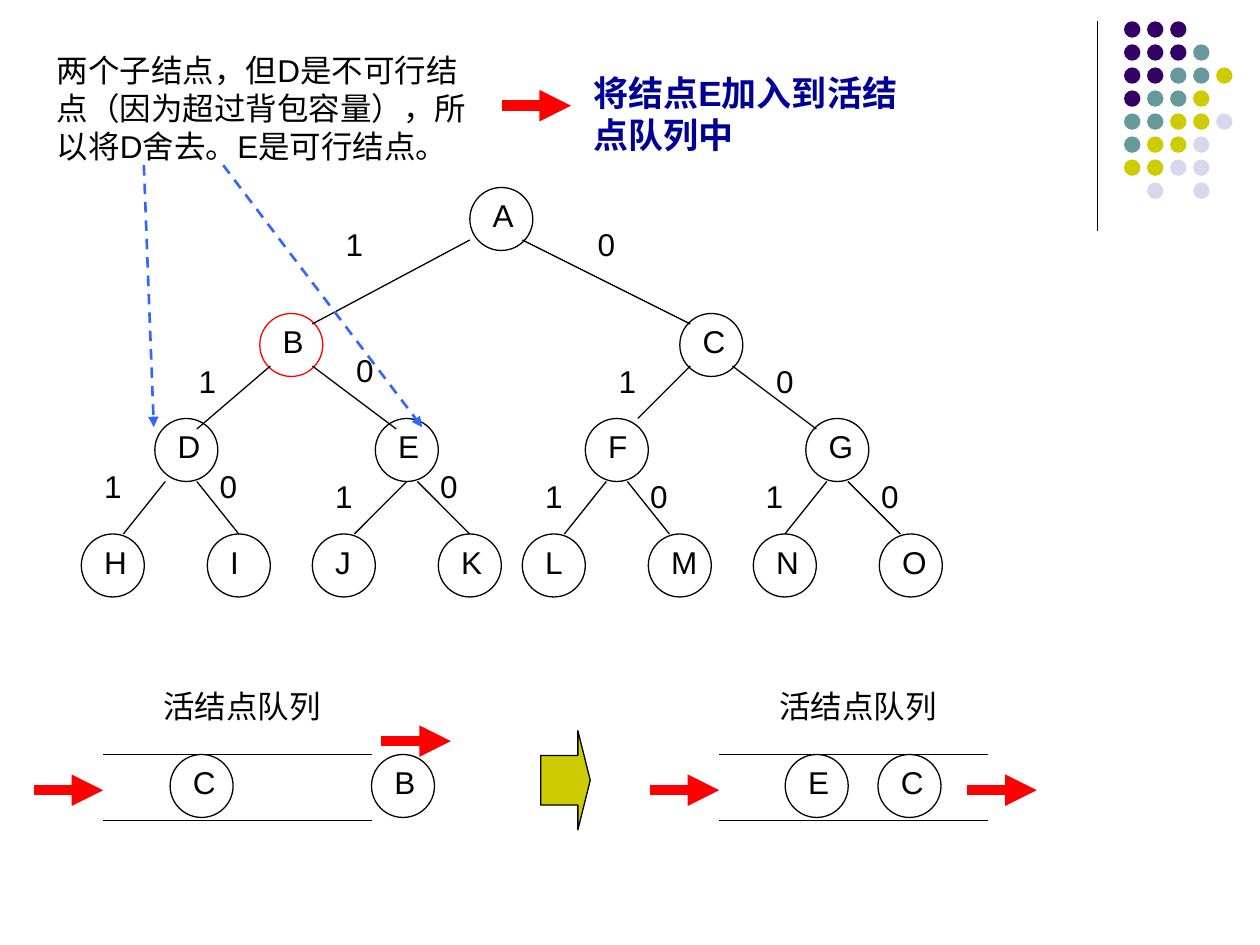
from dataclasses import dataclass

import lxml.etree
import pptx
import pptx.dml.color
import pptx.enum.dml
import pptx.enum.shapes
import pptx.enum.text
import pptx.oxml.ns
import pptx.util

Cm = pptx.util.Cm
Pt = pptx.util.Pt
SHAPES = pptx.enum.shapes.MSO_SHAPE
ALIGN = pptx.enum.text.PP_ALIGN
DASH = pptx.enum.dml.MSO_LINE.DASH


@dataclass(frozen=True)
class Theme:
    font: str = "Arial"
    body_size: int = 18
    result_size: int = 20
    ink: str = "000000"
    red: str = "FF0000"
    pointer: str = "3366FF"
    result: str = "000099"
    olive: str = "CCCC00"
    purple: str = "330066"
    teal: str = "669999"
    lilac: str = "D8D8EC"
    thin: float = 0.75
    dashed: float = 1.5
    thick: float = 6


THEME = Theme()

# The tree lies on a grid of twelfths of an inch; sizes are in centimetres
STEP = 2.54 / 12
TREE_LEFT, TREE_TOP = 1.64, 3.78
NODE_SIZE = 1.27
LABEL_SIZE = (1.06, 1.02)

# Grid row: the letter and grid column of each node
TREE_ROWS = {
    0: {"A": 37},
    12: {"B": 17, "C": 57},
    22: {"D": 7, "E": 28, "F": 48, "G": 69},
    33: {"H": 0, "I": 12, "J": 22, "K": 34, "L": 42, "M": 54, "N": 64, "O": 76},
}

# Branch start, branch end, digit and digit position, on the grid
BRANCHES = [
    ((37, 5), (22, 13), "1", (24, 3)),
    ((42, 5), (58, 13), "0", (48, 3)),
    ((18, 17), (11, 23), "1", (10, 16)),
    ((22, 17), (30, 23), "0", (25, 15)),
    ((58, 17), (53, 22), "1", (50, 16)),
    ((62, 17), (70, 23), "0", (65, 16)),
    ((8, 28), (4, 33), "1", (1, 26)),
    ((11, 28), (15, 33), "0", (12, 26)),
    ((31, 28), (26, 33), "1", (23, 27)),
    ((32, 28), (37, 33), "0", (33, 26)),
    ((50, 28), (46, 33), "1", (43, 27)),
    ((52, 28), (56, 33), "0", (53, 27)),
    ((71, 28), (67, 33), "1", (64, 27)),
    ((73, 28), (78, 33), "0", (75, 27)),
]

DOT_ROWS = ["PPP", "PPPT", "PPTTO", "PTTO", "TTOOL", "TOOL", "OOLL", " L L"]
DOT_COLORS = {"P": THEME.purple, "T": THEME.teal, "O": THEME.olive, "L": THEME.lilac}
DOT_SIZE = 0.33
DOT_PITCH = 3.25 / 7


def rgb(value):
    return pptx.dml.color.RGBColor.from_string(value)


def apply_format(target, values):
    for name, value in values.items():
        setattr(target, name, value)


def grid_point(column, row):
    return TREE_LEFT + column * STEP, TREE_TOP + row * STEP


def add_text(slide, left, top, width, height, text, align=ALIGN.LEFT,
             size=THEME.body_size, color=THEME.ink, bold=False):
    shape = slide.shapes.add_textbox(Cm(left), Cm(top), Cm(width), Cm(height))
    shape.text_frame.word_wrap = True
    paragraph = shape.text_frame.paragraphs[0]
    paragraph.alignment = align
    run = paragraph.add_run()
    run.text = text
    apply_format(run.font, {"name": THEME.font, "size": Pt(size), "bold": bold})
    run.font.color.rgb = rgb(color)


def add_line(slide, start, end, color=THEME.ink, width=THEME.thin, dash=None, arrow=False):
    connector = slide.shapes.add_connector(
        pptx.enum.shapes.MSO_CONNECTOR.STRAIGHT, *(Cm(value) for value in start + end))
    connector.line.color.rgb = rgb(color)
    apply_format(connector.line, {"width": Pt(width), "dash_style": dash})
    qn = pptx.oxml.ns.qn
    properties = connector._element.spPr
    if arrow:
        lxml.etree.SubElement(properties.find(qn("a:ln")), qn("a:tailEnd"), type="triangle")
    lxml.etree.SubElement(properties, qn("a:effectLst"))


def add_red_arrow(slide, left, middle):
    add_line(slide, (left, middle), (left + 1.4, middle), THEME.red, THEME.thick, arrow=True)


def add_preset(slide, kind, left, top, width, height, fill=None, line=None):
    shape = slide.shapes.add_shape(kind, Cm(left), Cm(top), Cm(width), Cm(height))
    shape.shadow.inherit = False
    if fill:
        shape.fill.solid()
        shape.fill.fore_color.rgb = rgb(fill)
    else:
        shape.fill.background()
    if line:
        shape.line.color.rgb = rgb(line)
        shape.line.width = Pt(THEME.thin)
    else:
        shape.line.fill.background()
    return shape


def add_node(slide, left, top, letter, line=THEME.ink):
    add_preset(slide, SHAPES.OVAL, left, top, NODE_SIZE, NODE_SIZE, line=line)
    add_text(slide, left + 0.21, top + 0.05, *LABEL_SIZE, letter)


def add_corner_dots(slide):
    add_line(slide, (22.12, 0.43), (22.12, 4.65))
    for row, codes in enumerate(DOT_ROWS):
        for column, code in enumerate(codes):
            if code in DOT_COLORS:
                add_preset(slide, SHAPES.OVAL, 22.66 + column * DOT_PITCH,
                           0.43 + row * DOT_PITCH, DOT_SIZE, DOT_SIZE, DOT_COLORS[code])


def add_tree(slide):
    for row, nodes in TREE_ROWS.items():
        for letter, column in nodes.items():
            color = THEME.red if letter == "B" else THEME.ink
            add_node(slide, *grid_point(column, row), letter, color)
    for start, end, digit, place in BRANCHES:
        add_line(slide, grid_point(*start), grid_point(*end))
        add_text(slide, *grid_point(*place), *LABEL_SIZE, digit)


def add_queue(slide, left, nodes, exit_offset, exit_middle):
    for rail in (15.21, 16.54):
        add_line(slide, (left, rail), (left + 5.41, rail))
    for letter, offset in nodes.items():
        add_node(slide, left + offset, 15.21, letter)
    add_red_arrow(slide, left - 1.4, 15.93)
    add_red_arrow(slide, left + exit_offset, exit_middle)
    add_text(slide, left + 0.6, 13.72, 4.39, 1.02, "活结点队列", ALIGN.CENTER)


def main():
    presentation = pptx.Presentation()
    apply_format(presentation, {"slide_width": Cm(25.4), "slide_height": Cm(19.05)})
    slide = presentation.slides.add_slide(presentation.slide_layouts[6])

    add_corner_dots(slide)
    add_tree(slide)

    # Explanation with pointers to D and E, and its result
    for start, end in (((2.9, 3.33), (3.1, 8.61)), ((4.5, 3.33), (8.51, 8.61))):
        add_line(slide, start, end, THEME.pointer, THEME.dashed, DASH, arrow=True)
    add_text(slide, 0.9, 0.91, 9.17, 2.54,
             "两个子结点，但D是不可行结点（因为超过背包容量），所以将D舍去。E是可行结点。")
    add_red_arrow(slide, 10.11, 2.13)
    add_text(slide, 11.71, 1.32, 7.01, 1.96, "将结点E加入到活结点队列中",
             size=THEME.result_size, color=THEME.result, bold=True)

    # Queue before and after the step
    add_queue(slide, 2.08, {"C": 1.35, "B": 5.41}, 5.61, 14.94)
    add_queue(slide, 14.5, {"E": 1.33, "C": 3.2}, 5, 15.93)
    block_arrow = add_preset(slide, SHAPES.RIGHT_ARROW, 10.9, 14.73, 1, 2,
                             THEME.olive, THEME.ink)
    block_arrow.adjustments[0] = 0.5
    block_arrow.adjustments[1] = 0.25

    presentation.save("out.pptx")


if __name__ == "__main__":
    main()
